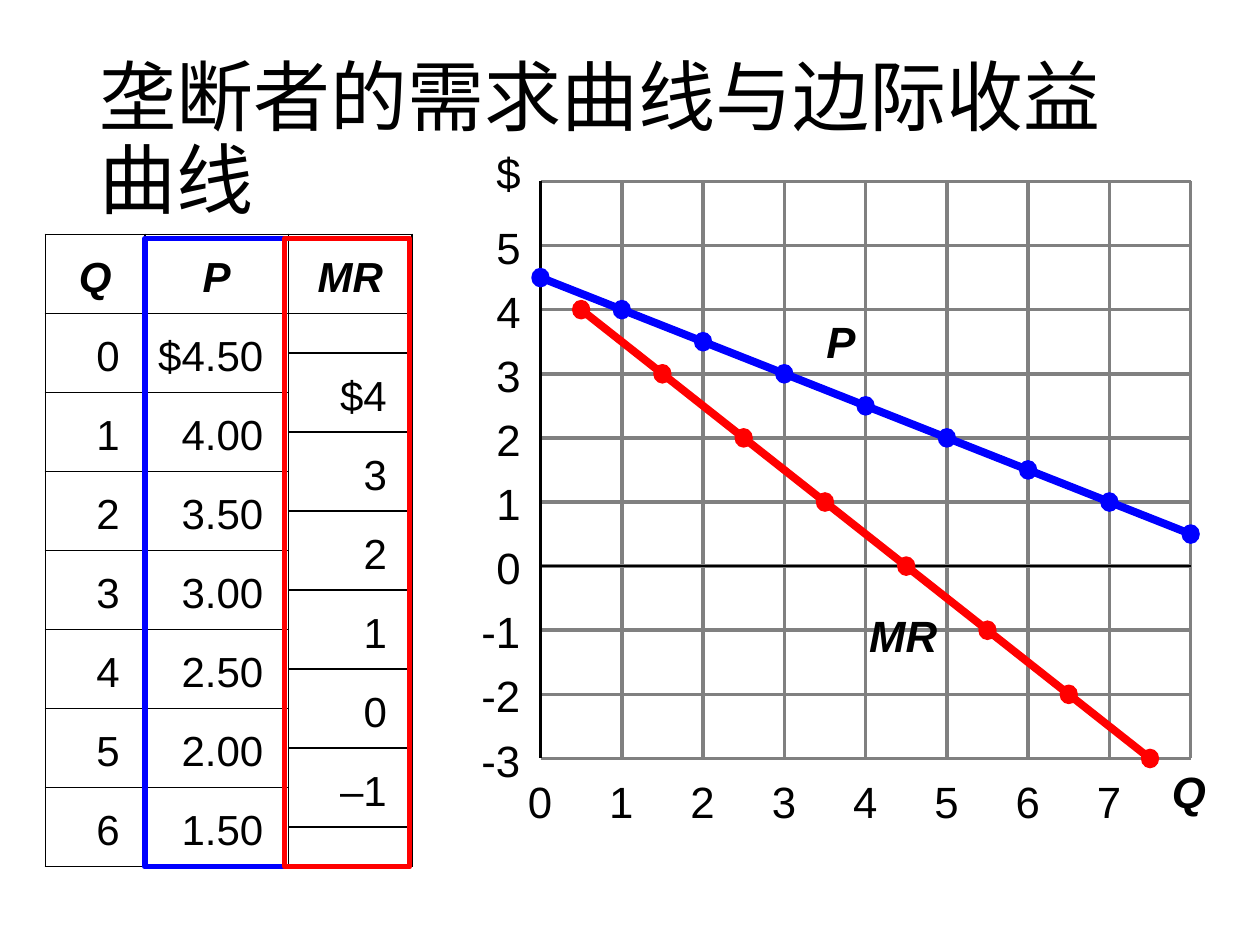
from dataclasses import dataclass

from lxml.etree import SubElement
from pptx import Presentation
from pptx.dml.color import RGBColor
from pptx.enum.shapes import MSO_CONNECTOR, MSO_SHAPE
from pptx.enum.text import MSO_ANCHOR, PP_ALIGN
from pptx.oxml import parse_xml
from pptx.oxml.ns import nsdecls, qn
from pptx.util import Inches, Pt

BLACK = RGBColor(0x00, 0x00, 0x00)
GRAY = RGBColor(0x80, 0x80, 0x80)
BLUE = RGBColor(0x00, 0x00, 0xFF)
RED = RGBColor(0xFF, 0x00, 0x00)

TABLE_TOP, TABLE_HEIGHT = 1.86, 5.02
PLOT_LEFT, PLOT_TOP, PLOT_RIGHT, PLOT_BOTTOM = 4.29, 1.44, 9.45, 6.02
MAX_QUANTITY, MIN_DOLLARS, MAX_DOLLARS = 8, -3, 6
DOT_WIDTH, DOT_HEIGHT = 0.13, 0.14


@dataclass
class Box:
    left: float
    top: float
    width: float
    height: float

    def lengths(self) -> tuple:
        return tuple(Inches(n) for n in (self.left, self.top, self.width, self.height))


@dataclass
class Curve:
    name: str
    color: RGBColor
    points: list
    label: Box


CURVES = [
    Curve("MR", RED, [(step + 0.5, 4 - step) for step in range(8)], Box(6.8, 4.78, 0.74, 0.52)),
    Curve("P", BLUE, [(quantity, 4.5 - quantity / 2) for quantity in range(9)],
          Box(6.46, 2.45, 0.44, 0.52)),
]


def x_of(quantity: float) -> float:
    return PLOT_LEFT + quantity * (PLOT_RIGHT - PLOT_LEFT) / MAX_QUANTITY


def y_of(dollars: float) -> float:
    unit = (PLOT_BOTTOM - PLOT_TOP) / (MAX_DOLLARS - MIN_DOLLARS)
    return PLOT_TOP + (MAX_DOLLARS - dollars) * unit


def set_font(paragraph, size: float, name: str = "Arial", emphasis: bool = False) -> None:
    font = paragraph.font
    font.size, font.name = Pt(size), name
    font.color.rgb = BLACK
    if emphasis:
        font.bold = font.italic = True


def add_title(slide, text: str) -> None:
    frame = slide.shapes.add_textbox(*Box(0.69, 0.4, 8.62, 1.45).lengths()).text_frame
    frame.word_wrap = True
    frame.vertical_anchor = MSO_ANCHOR.MIDDLE
    paragraph = frame.paragraphs[0]
    paragraph.text = text
    paragraph.line_spacing = 0.9
    set_font(paragraph, 44, "Calibri")


def add_label(slide, text: str, box: Box, inset: float = 0, emphasis: bool = False) -> None:
    frame = slide.shapes.add_textbox(*box.lengths()).text_frame
    frame.word_wrap = False
    frame.margin_left = frame.margin_right = Inches(inset)
    frame.margin_top = frame.margin_bottom = Inches(inset / 2)
    frame.paragraphs[0].text = text
    set_font(frame.paragraphs[0], 25, emphasis=emphasis)


def add_line(slide, start: tuple, end: tuple, color: RGBColor, width: float) -> None:
    line = slide.shapes.add_connector(
        MSO_CONNECTOR.STRAIGHT, *(Inches(n) for n in (*start, *end)))
    line.line.color.rgb, line.line.width = color, Pt(width)
    SubElement(line._element.spPr, qn("a:effectLst"))


def add_horizontal(slide, dollars: float, color: RGBColor, width: float) -> None:
    y = y_of(dollars)
    add_line(slide, (PLOT_LEFT, y), (PLOT_RIGHT, y), color, width)


def add_vertical(slide, quantity: float, color: RGBColor, width: float) -> None:
    x = x_of(quantity)
    add_line(slide, (x, PLOT_TOP), (x, PLOT_BOTTOM), color, width)


def add_axes(slide) -> None:
    """Draw the gridlines, the scale labels and the two black axes."""
    for dollars in range(MIN_DOLLARS, MAX_DOLLARS + 1):
        add_horizontal(slide, dollars, GRAY, 0)
    for quantity in range(MAX_QUANTITY + 1):
        add_vertical(slide, quantity, GRAY, 0)
    for dollars in range(MIN_DOLLARS, MAX_DOLLARS):
        width = 0.31 if dollars < 0 else 0.19
        add_label(slide, str(dollars), Box(4.13 - width, y_of(dollars) - 0.2, width, 0.42))
    add_label(slide, "$", Box(3.94, 1.16, 0.19, 0.42))
    for quantity in range(MAX_QUANTITY):
        add_label(slide, str(quantity), Box(x_of(quantity) - 0.1, 6.15, 0.19, 0.42))
    add_label(slide, "Q", Box(9.3, 6.07, 0.27, 0.42), emphasis=True)
    add_vertical(slide, 0, BLACK, 1.5)
    add_horizontal(slide, 0, BLACK, 1.5)


def add_curve(slide, curve: Curve) -> None:
    corners = [(Inches(x_of(quantity)), Inches(y_of(dollars)))
               for quantity, dollars in curve.points]
    builder = slide.shapes.build_freeform(*corners[0])
    builder.add_line_segments(corners[1:], close=False)
    polyline = builder.convert_to_shape()
    polyline.shadow.inherit = False
    polyline.fill.background()
    polyline.line.color.rgb, polyline.line.width = curve.color, Pt(4.5)

    for quantity, dollars in curve.points:
        box = Box(x_of(quantity) - DOT_WIDTH / 2, y_of(dollars) - DOT_HEIGHT / 2,
                  DOT_WIDTH, DOT_HEIGHT)
        dot = slide.shapes.add_shape(MSO_SHAPE.OVAL, *box.lengths())
        dot.shadow.inherit = False
        dot.fill.solid()
        dot.fill.fore_color.rgb = curve.color
        dot.line.color.rgb, dot.line.width = curve.color, Pt(1.13)
    add_label(slide, curve.name, curve.label, inset=0.1, emphasis=True)


def add_borders(cell) -> None:
    properties = cell._tc.get_or_add_tcPr()
    for position, side in enumerate(("lnL", "lnR", "lnT", "lnB")):
        properties.insert(position, parse_xml(
            f'<a:{side} {nsdecls("a")} w="{Pt(1)}"><a:solidFill>'
            f'<a:srgbClr val="{BLACK}"/></a:solidFill></a:{side}>'))


def fill_cell(cell, text: str, is_header: bool) -> None:
    cell.fill.background()
    add_borders(cell)
    cell.vertical_anchor = MSO_ANCHOR.MIDDLE
    paragraph = cell.text_frame.paragraphs[0]
    if not text:
        cell.margin_top = cell.margin_bottom = 0
        set_font(paragraph, 10)
        return
    cell.margin_top = Inches(0.1)
    cell.margin_right = Inches(0.1 if is_header else 0.2)
    paragraph.text = text
    paragraph.alignment = PP_ALIGN.CENTER if is_header else PP_ALIGN.RIGHT
    paragraph.line_spacing = 1.05
    set_font(paragraph, 24, emphasis=is_header)


def add_grid(slide, left: float, widths: list, heights: list, rows: list) -> None:
    box = Box(left, TABLE_TOP, sum(widths), sum(heights))
    table = slide.shapes.add_table(len(rows), len(widths), *box.lengths()).table
    table.first_row = table.horz_banding = False
    for column, width in zip(table.columns, widths):
        column.width = Inches(width)
    for row_number, (row, height, texts) in enumerate(zip(table.rows, heights, rows)):
        row.height = Inches(height)
        for cell, text in zip(row.cells, texts):
            fill_cell(cell, text, row_number == 0)


def add_outline(slide, box: Box, color: RGBColor) -> None:
    outline = slide.shapes.add_shape(MSO_SHAPE.RECTANGLE, *box.lengths())
    outline.shadow.inherit = False
    outline.fill.background()
    outline.line.color.rgb, outline.line.width = color, Pt(3)


def main() -> None:
    presentation = Presentation()
    presentation.slide_width, presentation.slide_height = Inches(10), Inches(7.5)
    slide = presentation.slides.add_slide(presentation.slide_layouts[6])

    add_title(slide, "垄断者的需求曲线与边际收益曲线")
    add_axes(slide)
    for curve in CURVES:
        add_curve(slide, curve)

    full, half = TABLE_HEIGHT / 8, TABLE_HEIGHT / 16
    prices = ["$4.50", "4.00", "3.50", "3.00", "2.50", "2.00", "1.50"]
    demand_rows = [("Q", "P")] + [(str(quantity), price) for quantity, price in enumerate(prices)]
    add_grid(slide, 0.36, [0.79, 1.14], [full] * 8, demand_rows)

    # Marginal revenue sits between quantities, so its rows are shifted by half a row.
    revenues = ["MR", "", "$4", "3", "2", "1", "0", "–1", ""]
    add_grid(slide, 2.29, [0.98], [full if text else half for text in revenues],
             [(text,) for text in revenues])

    add_outline(slide, Box(1.15, 1.89, 1.11, 4.99), BLUE)
    add_outline(slide, Box(2.26, 1.89, 0.99, 4.99), RED)
    presentation.save("out.pptx")


if __name__ == "__main__":
    main()
